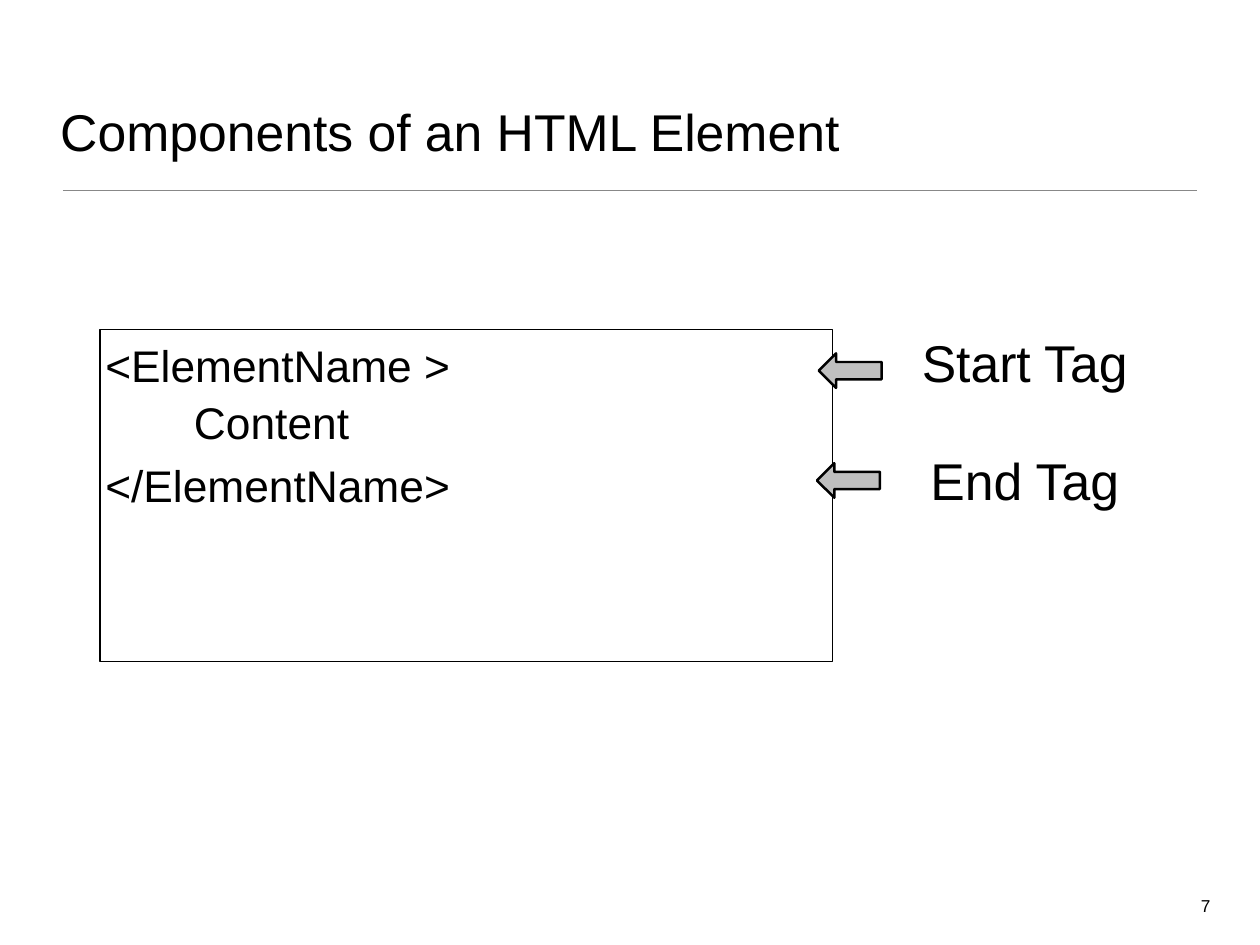
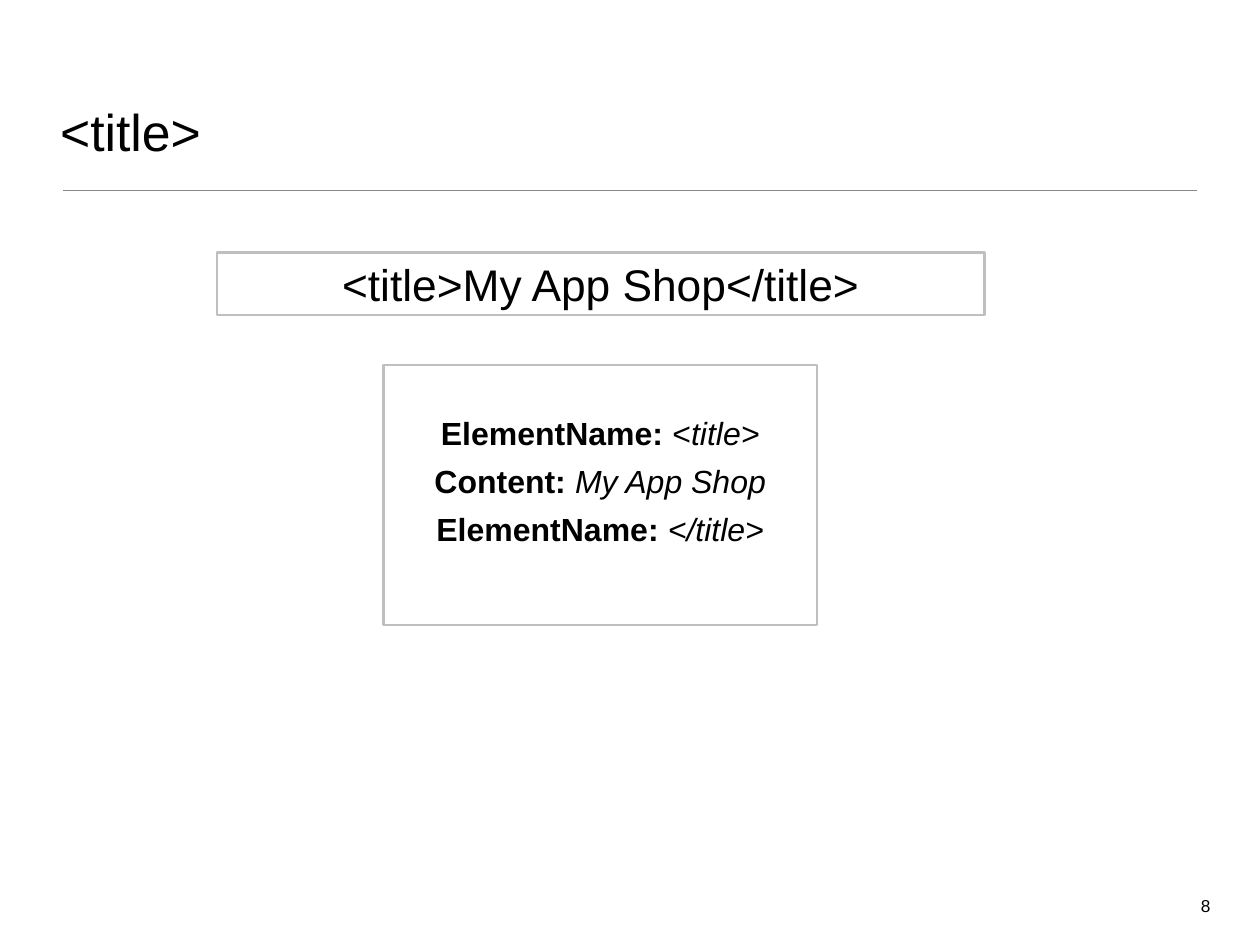
from dataclasses import dataclass

from pptx import Presentation
from pptx.dml.color import RGBColor
from pptx.enum import shapes, text
from pptx.util import Inches, Pt

BLACK = RGBColor(0, 0, 0)
WHITE = RGBColor(255, 255, 255)
GRAY = RGBColor(0xBF, 0xBF, 0xBF)
RULE = RGBColor(0x88, 0x88, 0x88)
FONT = "Arial"
LEFT, MID, RIGHT = text.PP_ALIGN.LEFT, text.PP_ALIGN.CENTER, text.PP_ALIGN.RIGHT
TOP, BASE = text.MSO_ANCHOR.TOP, text.MSO_ANCHOR.BOTTOM


@dataclass
class Run:
    words: str
    bold: bool = False
    slant: bool = False


@dataclass
class Para:
    runs: list[Run]
    before: float = 0
    indent: float = 0


@dataclass
class Rect:
    x: float
    y: float
    w: float
    h: float

    def emu(self) -> list[int]:
        return [Inches(v) for v in (self.x, self.y, self.w, self.h)]


def line(words: str, before: float = 0, indent: float = 0) -> Para:
    return Para([Run(words)], before, indent)


def write(shape, paras: list[Para], size: int, align=LEFT, anchor=TOP,
          pad=(0.1, 0.05), top: float | None = None, wrap: bool = True) -> None:
    """Fill a shape with text; pad is the side and the top/bottom inset."""
    frame = shape.text_frame
    frame.word_wrap = wrap
    frame.vertical_anchor = anchor
    frame.margin_left = frame.margin_right = Inches(pad[0])
    frame.margin_top = Inches(pad[1] if top is None else top)
    frame.margin_bottom = Inches(pad[1])
    for i, para in enumerate(paras):
        p = frame.add_paragraph() if i else frame.paragraphs[0]
        p.alignment = align
        p.space_before = Pt(para.before)
        if para.indent:
            p._p.get_or_add_pPr().set("marL", str(Inches(para.indent)))
        for item in para.runs:
            run = p.add_run()
            run.text = item.words
            font = run.font
            font.name, font.size = FONT, Pt(size)
            font.bold, font.italic = item.bold, item.slant
            font.color.rgb = BLACK


def label(slide, rect: Rect, words: str, size: int, **style) -> None:
    write(slide.shapes.add_textbox(*rect.emu()), [line(words)], size, **style)


def draw(slide, kind, rect: Rect, fill: RGBColor | None, edge: RGBColor, width: float):
    shape = slide.shapes.add_shape(kind, *rect.emu())
    shape.shadow.inherit = False
    if fill is None:
        shape.fill.background()
    else:
        shape.fill.solid()
        shape.fill.fore_color.rgb = fill
    shape.line.color.rgb = edge
    shape.line.width = Pt(width)
    return shape


def start(deck, title: str, number: int):
    """Add a slide with the shared rule, page number and title."""
    slide = deck.slides.add_slide(deck.slide_layouts[6])
    rule = slide.shapes.add_connector(
        shapes.MSO_CONNECTOR.STRAIGHT,
        Inches(0.71), Inches(2.15), Inches(13.51), Inches(2.15))
    rule.line.color.rgb = RULE
    rule.line.width = Pt(1)
    props = rule._element.spPr
    props.append(props.makeelement(
        "{http://schemas.openxmlformats.org/drawingml/2006/main}effectLst", {}))
    label(slide, Rect(13.42, 10.06, 0.34, 0.33), str(number), 14, align=RIGHT, wrap=False)
    label(slide, Rect(0.62, 0.36, 12.97, 1.53), title, 42, anchor=BASE, pad=(0.06, 0.06))
    return slide


def parts(deck) -> None:
    slide = start(deck, "Components of an HTML Element", 7)
    kind = shapes.MSO_SHAPE

    # Code box
    box = draw(slide, kind.RECTANGLE, Rect(1.13, 3.72, 8.27, 3.75), None, BLACK, 1)
    code = [line("<ElementName >"), line("Content", 3, 1), line("</ElementName>", 8)]
    write(box, code, 36, pad=(0.06, 0.06), top=0.1)

    # Tag names with their arrows
    for words, y, tip, high in (("Start Tag", 3.69, 9.24, 3.99), ("End Tag", 5.02, 9.22, 5.23)):
        label(slide, Rect(9.95, y, 3.23, 0.81), words, 42, align=MID)
        arrow = draw(slide, kind.RIGHT_ARROW, Rect(tip, high, 0.71, 0.39), GRAY, BLACK, 2)
        arrow.rotation = 180


def sample(deck) -> None:
    slide = start(deck, "<title>", 8)
    kind = shapes.MSO_SHAPE.RECTANGLE

    # Breakdown of the element
    rows = [
        [Run("ElementName: ", bold=True), Run("<"), Run("title>", slant=True)],
        [Run("Content: ", bold=True), Run("My App Shop", slant=True)],
        [Run("ElementName: ", bold=True), Run("</title>", slant=True)],
    ]
    box = draw(slide, kind, Rect(4.33, 4.12, 4.89, 2.94), WHITE, GRAY, 2)
    paras = [Para(runs, 8 if i else 0) for i, runs in enumerate(rows)]
    write(box, paras, 26, MID, pad=(0, 0), top=0.55)

    # Whole element
    box = draw(slide, kind, Rect(2.45, 2.85, 8.66, 0.71), WHITE, GRAY, 2)
    write(box, [line("<title>My App Shop</title>")], 36, MID)


def main() -> None:
    deck = Presentation()
    deck.slide_width, deck.slide_height = Inches(14.22), Inches(10.67)
    parts(deck)
    sample(deck)
    deck.save("out.pptx")


if __name__ == "__main__":
    main()
